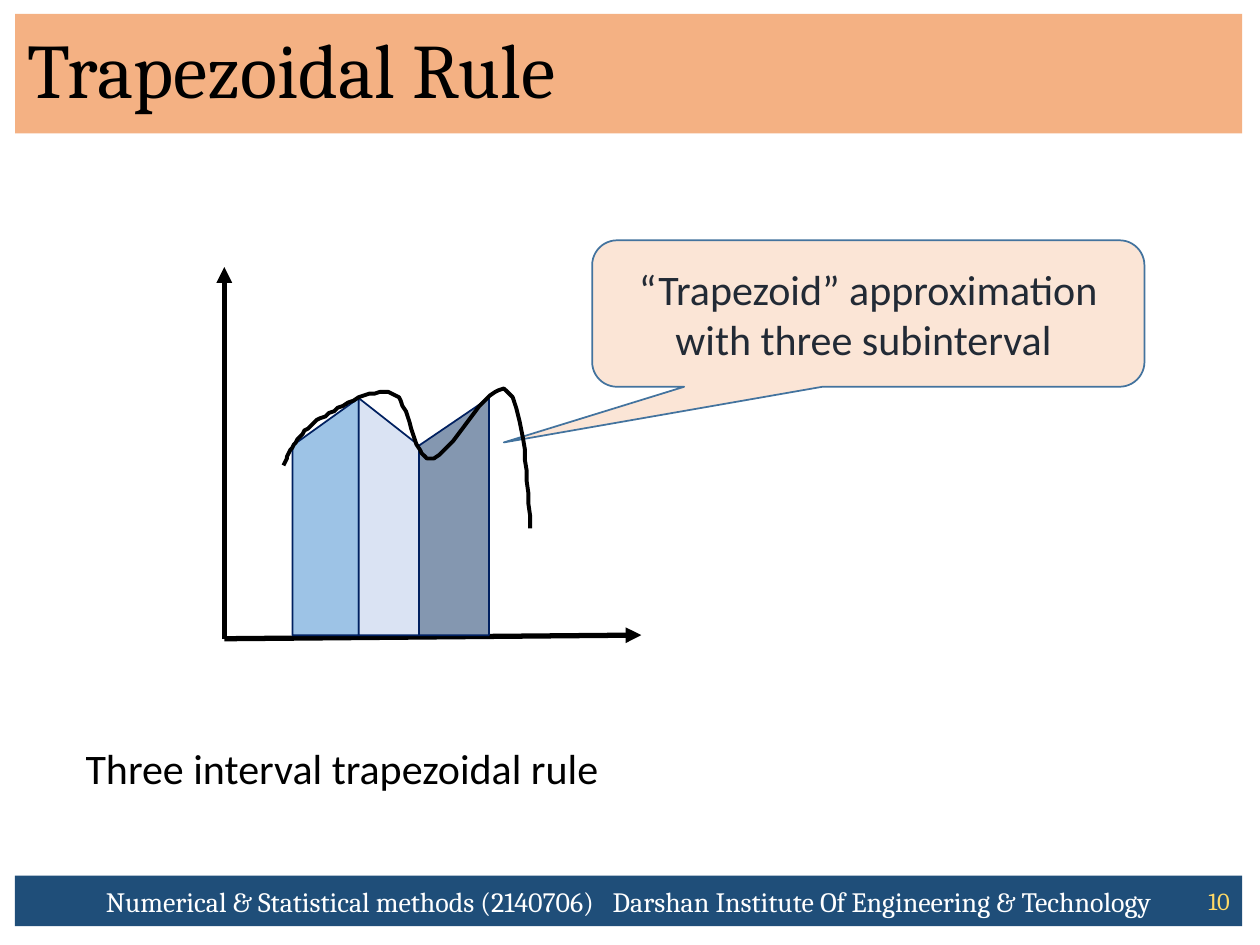
from lxml import etree
from pptx import Presentation
from pptx.dml.color import RGBColor
from pptx.enum.shapes import MSO_CONNECTOR, MSO_SHAPE
from pptx.enum.text import MSO_ANCHOR, MSO_AUTO_SIZE, PP_ALIGN
from pptx.oxml.ns import qn
from pptx.util import Pt

RECT, TRAPEZOID = MSO_SHAPE.RECTANGLE, MSO_SHAPE.FLOWCHART_MANUAL_INPUT
CALLOUT = MSO_SHAPE.ROUNDED_RECTANGULAR_CALLOUT
STRAIGHT = MSO_CONNECTOR.STRAIGHT
LEFT, CENTER, RIGHT = PP_ALIGN.LEFT, PP_ALIGN.CENTER, PP_ALIGN.RIGHT
MIDDLE, TOP = MSO_ANCHOR.MIDDLE, MSO_ANCHOR.TOP
NO_FIT = MSO_AUTO_SIZE.NONE

COLORS = {
    "title": "F4B183", "footer": "1F4E79", "number": "FFD966",
    "black": "000000", "white": "FFFFFF", "edge": "002060",
    "callout": "FBE5D6", "callout_edge": "43739E", "callout_text": "222A35",
    "first": "9DC3E6", "second": "DAE3F3", "third": "8497B0",
}


def rgb(name):
    return RGBColor.from_string(COLORS[name])


def add_run(p, text, size, font, color):
    r = p.add_run()
    r.text = text
    r.font.size, r.font.name = Pt(size), font
    r.font.color.rgb = rgb(color)
    return r


def set_text(sp, text, size, font, color, align=LEFT, anchor=MIDDLE):
    tf = sp.text_frame
    tf.word_wrap, tf.auto_size, tf.vertical_anchor = True, NO_FIT, anchor
    p = tf.paragraphs[0]
    p.alignment = align
    add_run(p, text, size, font, color)
    return p


def add_shape(s, kind, box, fill, line=None):
    sp = s.shapes.add_shape(kind, *map(Pt, box))
    sp.shadow.inherit = False
    sp.fill.solid()
    sp.fill.fore_color.rgb = rgb(fill)
    if line:
        sp.line.color.rgb, sp.line.width = rgb(line), Pt(1)
    else:
        sp.line.fill.background()
    return sp


def add_label(s, box, *text, **layout):
    set_text(s.shapes.add_textbox(*map(Pt, box)), *text, **layout)


def add_title(s, text):
    sp = s.shapes.title
    sp.left, sp.top, sp.width, sp.height = map(Pt, (8.6, 7.9, 701.3, 68.4))
    sp.fill.solid()
    sp.fill.fore_color.rgb = rgb("title")
    set_text(sp, text, 44, "Cambria", "black").line_spacing = 0.9


def add_footer(s):
    bar = add_shape(s, RECT, (8.6, 500.4, 701.3, 28.8), "footer")
    style = (16, "Cambria", "white")
    p = set_text(bar, "Numerical & Statistical methods (2140706)", *style, align=CENTER)
    # One widened space separates the course from the institute
    gap = add_run(p, " ", *style)
    gap._r.get_or_add_rPr().set("spc", "700")
    add_run(p, "Darshan Institute Of Engineering & Technology", *style)
    add_label(s, (668.9, 500.4, 41, 28.8), "10", 14, "Cambria", "number", align=RIGHT)


def add_axis(s, start, end):
    axis = s.shapes.add_connector(STRAIGHT, *map(Pt, start + end))
    axis.line.color.rgb, axis.line.width = rgb("black"), Pt(3)
    ln = axis.line._get_or_add_ln()
    etree.SubElement(ln, qn("a:tailEnd"), type="triangle")
    etree.SubElement(axis._element.spPr, qn("a:effectLst"))


def add_trapezoid(s, left, right, fill, falling=False):
    sp = add_shape(s, TRAPEZOID, (left, 227.5, right - left, 135.5), fill, "edge")
    if falling:
        sp._element.spPr.find(qn("a:xfrm")).set("flipH", "1")


def bezier(a, b, c, d, steps=16):
    for i in range(1, steps + 1):
        t = i / steps
        u = 1 - t
        yield tuple(u**3 * w + 3 * u * u * t * x + 3 * u * t * t * y + t**3 * z
                    for w, x, y, z in zip(a, b, c, d))


def add_curve(s, start, segments):
    points, last = [], start
    for segment in segments:
        points += bezier(last, *segment)
        last = segment[-1]
    builder = s.shapes.build_freeform(*start, scale=Pt(1))
    builder.add_line_segments(points, close=False)
    sp = builder.convert_to_shape()
    sp.shadow.inherit = False
    sp.fill.background()
    sp.line.color.rgb, sp.line.width = rgb("black"), Pt(2.25)


def main():
    prs = Presentation()
    prs.slide_width, prs.slide_height = Pt(720), Pt(540)
    s = prs.slides.add_slide(prs.slide_layouts[5])

    # Title and footer
    add_title(s, "Trapezoidal Rule")
    add_footer(s)

    # Axes
    origin = (128.2, 365)
    add_axis(s, origin, (128.2, 152.6))
    add_axis(s, origin, (366.5, 362.9))

    # Callout
    callout = add_shape(s, CALLOUT, (338.4, 137.3, 315.6, 83.7), "callout", "callout_edge")
    for i, value in enumerate((-0.66, 0.88, 0.17)):
        callout.adjustments[i] = value
    set_text(callout, "“Trapezoid” approximation with three subinterval ",
             24, "Calibri", "callout_text", align=CENTER)

    # Trapezoids between neighbouring nodes
    nodes = (167.2, 205, 239.5, 279.4)
    for i, fill in enumerate(("first", "second", "third")):
        add_trapezoid(s, nodes[i], nodes[i + 1], fill, falling=i == 1)

    # Function curve: two control points and an end point per segment
    add_curve(s, (162, 265.7), [
        ((166.3, 257), (170.6, 247.7), (181.2, 240.5)),
        ((191.5, 234), (213.1, 221), (223.9, 224.6)),
        ((234.7, 228.2), (235.4, 262.1), (246.2, 262.1)),
        ((257, 262.1), (280.1, 216), (289.4, 223)),
        ((298.8, 229.7), (301, 265.7), (303.1, 301.7)),
    ])

    # Caption
    add_label(s, (41.8, 420.5, 470.2, 36), "Three interval trapezoidal rule",
              24, "Calibri", "black", anchor=TOP)

    prs.save("out.pptx")


if __name__ == "__main__":
    main()
